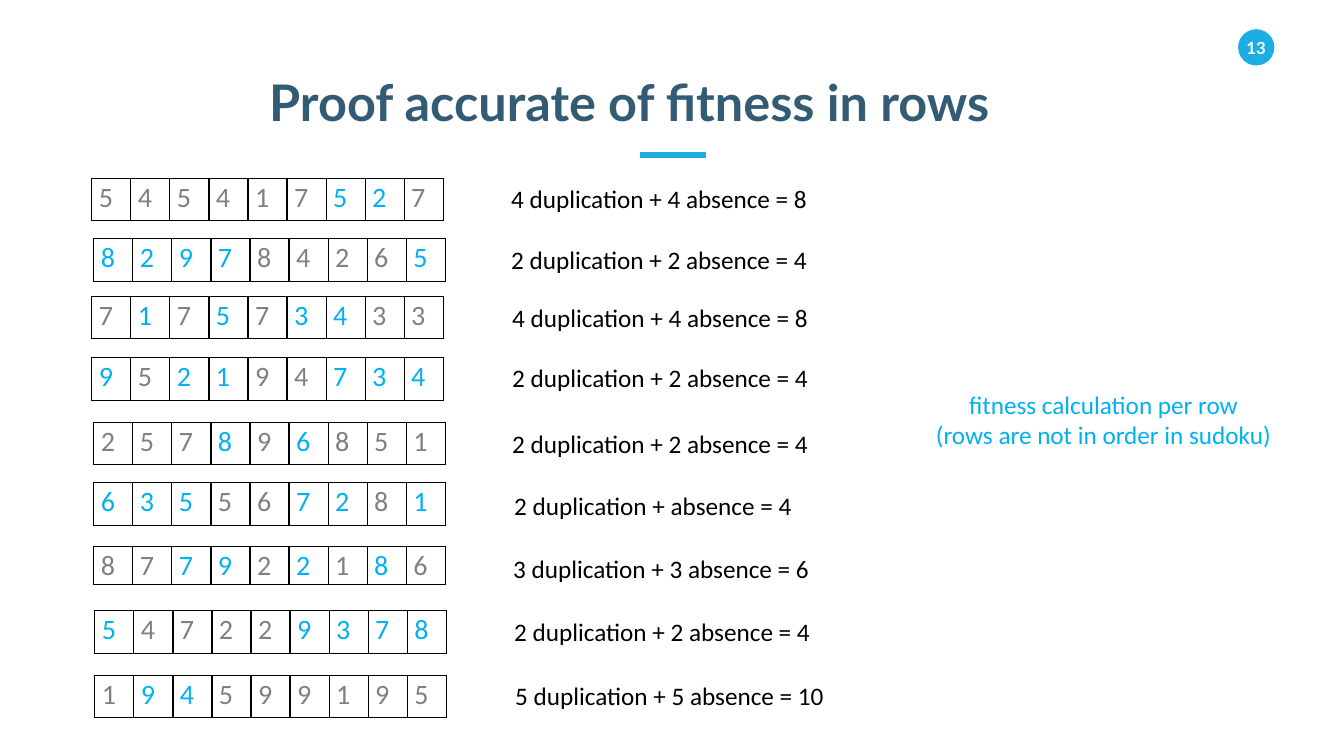
from collections import namedtuple

from lxml.etree import SubElement
from pptx import Presentation
from pptx.dml.color import RGBColor
from pptx.enum.shapes import MSO_CONNECTOR as Connector, MSO_SHAPE as Shape
from pptx.enum.text import MSO_ANCHOR as Anchor, MSO_AUTO_SIZE as AutoSize, PP_ALIGN as Align
from pptx.oxml.ns import qn
from pptx.util import Inches, Pt

ACCENT = RGBColor(0x1C, 0xAD, 0xE4)
NAVY = RGBColor(0x33, 0x5B, 0x74)
SKY = RGBColor(0x00, 0xB0, 0xF0)
GREY = RGBColor(0x80, 0x80, 0x80)
BLACK = RGBColor(0x00, 0x00, 0x00)
WHITE = RGBColor(0xFF, 0xFF, 0xFF)

Box = namedtuple("Box", "left top width height")
SudokuRow = namedtuple("SudokuRow", "left top height digits fixed label_left label_top label")

STRIP_WIDTH = 3.49
LABEL_WIDTH, LABEL_HEIGHT = 3.35, 0.4

# "fixed" marks with x the cells given by the puzzle
SUDOKU_ROWS = [
    SudokuRow(0.91, 1.77, 0.42, "545417527", "......xx.", 4.91, 1.77, "4 duplication + 4 absence = 8"),
    SudokuRow(0.93, 2.37, 0.42, "829784265", "xxxx....x", 4.91, 2.37, "2 duplication + 2 absence = 4"),
    SudokuRow(0.91, 2.94, 0.42, "717573433", ".x.x.xx..", 4.92, 2.95, "4 duplication + 4 absence = 8"),
    SudokuRow(0.91, 3.55, 0.42, "952194734", "x.xx..xxx", 4.92, 3.55, "2 duplication + 2 absence = 4"),
    SudokuRow(0.93, 4.19, 0.42, "257896851", "...x.x...", 4.92, 4.20, "2 duplication + 2 absence = 4"),
    SudokuRow(0.93, 4.79, 0.42, "635567281", "xxx..xx.x", 4.94, 4.82, "2 duplication + absence = 4"),
    SudokuRow(0.93, 5.42, 0.38, "877922186", "..xx.x.x.", 4.93, 5.44, "3 duplication + 3 absence = 6"),
    SudokuRow(0.94, 6.06, 0.42, "547229378", "x....xxxx", 4.94, 6.07, "2 duplication + 2 absence = 4"),
    SudokuRow(0.94, 6.70, 0.42, "194599195", ".xx......", 4.95, 6.70, "5 duplication + 5 absence = 10"),
]


def inches(box):
    return [Inches(length) for length in box]


def style(para, name, size, color, bold=False, align=Align.LEFT):
    para.alignment = align
    font = para.font
    font.name, font.size, font.bold = name, Pt(size), bold
    font.color.rgb = color


def add_title(page, box, text):
    """Heading with a short rule below the centre of the slide."""
    title = page.shapes.title
    title.left, title.top, title.width, title.height = inches(box)
    frame = title.text_frame
    frame.text = text
    frame.auto_size = AutoSize.NONE
    frame.vertical_anchor = Anchor.TOP
    style(frame.paragraphs[0], "Lato", 36, NAVY, bold=True)

    rule_top = Inches(box.top + box.height + 0.17)
    rule_left = Inches(box.left + 3.78)
    rule = page.shapes.add_connector(
        Connector.STRAIGHT, rule_left, rule_top, rule_left + Inches(0.65), rule_top)
    rule.line.color.rgb = ACCENT
    rule.line.width = Pt(4.5)
    SubElement(rule._element.spPr, qn("a:effectLst"))


def add_page_number(page, box, number):
    badge = page.shapes.add_shape(Shape.OVAL, *inches(box))
    badge.shadow.inherit = False
    badge.fill.solid()
    badge.fill.fore_color.rgb = ACCENT
    badge.line.fill.background()
    frame = badge.text_frame
    frame.margin_left = frame.margin_right = frame.margin_top = frame.margin_bottom = 0
    frame.word_wrap = False
    frame.vertical_anchor = Anchor.MIDDLE
    frame.text = number
    style(frame.paragraphs[0], "Lato", 12, WHITE, bold=True, align=Align.CENTER)


def add_note(page, box, lines, color, align=Align.LEFT, indent=0.1):
    note = page.shapes.add_textbox(*inches(box))
    frame = note.text_frame
    frame.word_wrap = True
    frame.margin_left = Inches(indent)
    frame.text = "\n".join(lines)
    for para in frame.paragraphs:
        style(para, "Calibri", 18, color, align=align)


def add_borders(cell):
    properties = cell._tc.get_or_add_tcPr()
    for side in ("a:lnL", "a:lnR", "a:lnT", "a:lnB"):
        border = SubElement(properties, qn(side), w=str(Pt(1)))
        fill = SubElement(border, qn("a:solidFill"))
        SubElement(fill, qn("a:srgbClr"), val=str(BLACK))


def add_digit_strip(page, box, digits, fixed):
    """One sudoku row as a table of equal cells."""
    table = page.shapes.add_table(1, len(digits), *inches(box)).table
    table.first_row = table.horz_banding = False
    for column, (digit, mark) in enumerate(zip(digits, fixed)):
        table.columns[column].width = Inches(box.width / len(digits))
        cell = table.cell(0, column)
        add_borders(cell)
        cell.fill.background()
        cell.margin_left = cell.margin_right = Inches(0.07)
        cell.margin_top = cell.margin_bottom = 0
        cell.text = digit
        para = cell.text_frame.paragraphs[0]
        para.line_spacing = 1.07
        style(para, "Calibri", 20, SKY if mark == "x" else GREY)


def add_fitness_row(page, row):
    add_digit_strip(page, Box(row.left, row.top, STRIP_WIDTH, row.height), row.digits, row.fixed)
    label_box = Box(row.label_left, row.label_top, LABEL_WIDTH, LABEL_HEIGHT)
    add_note(page, label_box, [row.label], BLACK, indent=0.16)


def main():
    deck = Presentation()
    deck.slide_width, deck.slide_height = Inches(13.33), Inches(7.5)
    page = deck.slides.add_slide(deck.slide_layouts.get_by_name("Title Only"))

    # Heading
    add_page_number(page, Box(12.28, 0.29, 0.36, 0.36), "13")
    add_title(page, Box(2.57, 0.66, 7.98, 0.71), "Proof accurate of fitness in rows")

    # Sudoku rows with their fitness
    for row in SUDOKU_ROWS:
        add_fitness_row(page, row)

    # Side remark
    add_note(page, Box(9.1, 3.81, 3.69, 0.71),
             ["fitness calculation per row", "(rows are not in order in sudoku)"],
             SKY, align=Align.CENTER)

    deck.save("out.pptx")


if __name__ == "__main__":
    main()
